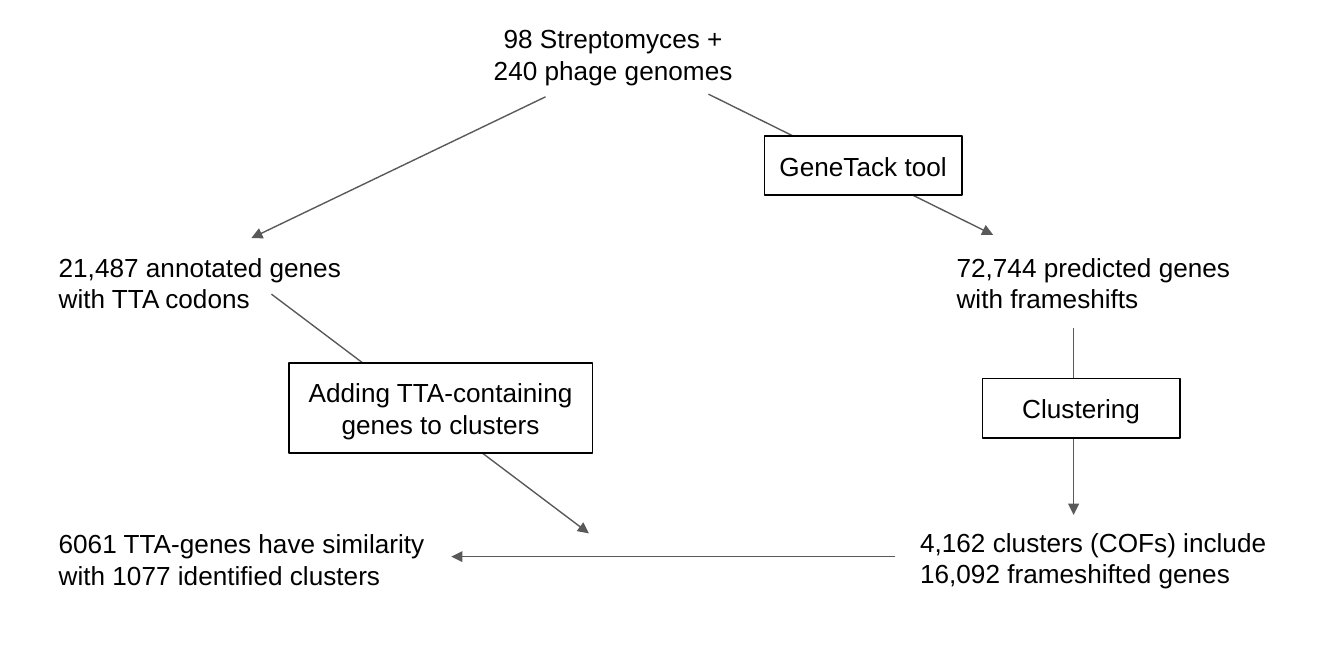
"""Builds the flow of TTA-codon and frameshift genes into clusters."""
import pptx
import pptx.dml.color
import pptx.enum.shapes
import pptx.enum.text
import pptx.oxml
import pptx.oxml.ns
import pptx.util

Cm = pptx.util.Cm
Align = pptx.enum.text.PP_ALIGN


def colour(hex_text):
    return pptx.dml.color.RGBColor.from_string(hex_text)


class Flowchart:
    font, size, ink = "Arial", 14, "000000"
    paper, arrow_ink, line_width = "FFFFFF", "595959", 0.75
    inset, two_line_height, one_line_height = 0.25, 1.7, 1.12

    def __init__(self, slide):
        self.slide = slide

    def set_text(self, shape, lines, align):
        frame = shape.text_frame
        frame.word_wrap = True
        frame.auto_size = pptx.enum.text.MSO_AUTO_SIZE.SHAPE_TO_FIT_TEXT
        frame.margin_left = frame.margin_right = Cm(self.inset)
        frame.margin_top = frame.margin_bottom = Cm(self.inset)
        for index, line in enumerate(lines):
            paragraph = frame.add_paragraph() if index else frame.paragraphs[0]
            paragraph.alignment = align
            run = paragraph.add_run()
            run.text = line
            run.font.name = self.font
            run.font.size = pptx.util.Pt(self.size)
            run.font.color.rgb = colour(self.ink)

    def data(self, left, top, width, *lines, align=Align.LEFT):
        label = self.slide.shapes.add_textbox(
            Cm(left), Cm(top), Cm(width), Cm(self.two_line_height))
        self.set_text(label, lines, align)

    def step(self, left, top, width, height, text):
        box = self.slide.shapes.add_shape(
            pptx.enum.shapes.MSO_SHAPE.RECTANGLE,
            Cm(left), Cm(top), Cm(width), Cm(height))
        box.shadow.inherit = False
        box.fill.solid()
        box.fill.fore_color.rgb = colour(self.paper)
        box.line.color.rgb = colour(self.ink)
        box.line.width = pptx.util.Pt(self.line_width)
        self.set_text(box, [text], Align.CENTER)

    def arrow(self, x1, y1, x2, y2):
        flow = self.slide.shapes.add_connector(
            pptx.enum.shapes.MSO_CONNECTOR.STRAIGHT,
            Cm(x1), Cm(y1), Cm(x2), Cm(y2))
        flow.line.color.rgb = colour(self.arrow_ink)
        flow.line.width = pptx.util.Pt(self.line_width)
        properties = flow.line._get_or_add_ln()
        head = pptx.oxml.parse_xml(
            f'<a:tailEnd {pptx.oxml.ns.nsdecls("a")} type="triangle"/>')
        properties.append(head)
        properties.addnext(pptx.oxml.parse_xml(
            f'<a:effectLst {pptx.oxml.ns.nsdecls("a")}/>'))


def main():
    deck = pptx.Presentation()
    deck.slide_width, deck.slide_height = Cm(25.4), Cm(12.7)
    chart = Flowchart(deck.slides.add_slide(deck.slide_layouts[6]))

    left_margin, genes_top, clusters_top = 0.86, 4.5, 9.72
    chart.data(6.88, 0.18, 9.42, "98 Streptomyces +", "240 phage genomes",
               align=Align.CENTER)
    chart.data(left_margin, genes_top, 6.25,
               "21,487 annotated genes with TTA codons")
    chart.data(17.83, genes_top, 5.79,
               "72,744 predicted genes with frameshifts")
    chart.data(left_margin, clusters_top, 7.67,
               "6061 TTA-genes have similarity with 1077 identified clusters")
    chart.data(17.14, 9.7, 7.39, "4,162 clusters (COFs) include",
               "16,092 frameshifted genes")

    clustering_x, similarity_y = 20.29, 10.52
    chart.arrow(10.31, 1.83, 4.75, genes_top)
    chart.arrow(13.39, 1.78, 18.77, 4.44)
    chart.arrow(clustering_x, 6.2, clustering_x, 9.73)
    chart.arrow(16.92, similarity_y, 8.53, similarity_y)
    chart.arrow(5.13, 5.56, 11.13, 10.08)

    tool_width = 3.73
    chart.step(14.45, 2.57, tool_width, chart.one_line_height, "GeneTack tool")
    chart.step(18.57, 7.16, tool_width, chart.one_line_height, "Clustering")
    chart.step(5.46, 6.86, 5.74, chart.two_line_height,
               "Adding TTA-containing genes to clusters")
    deck.save("out.pptx")


if __name__ == "__main__":
    main()
